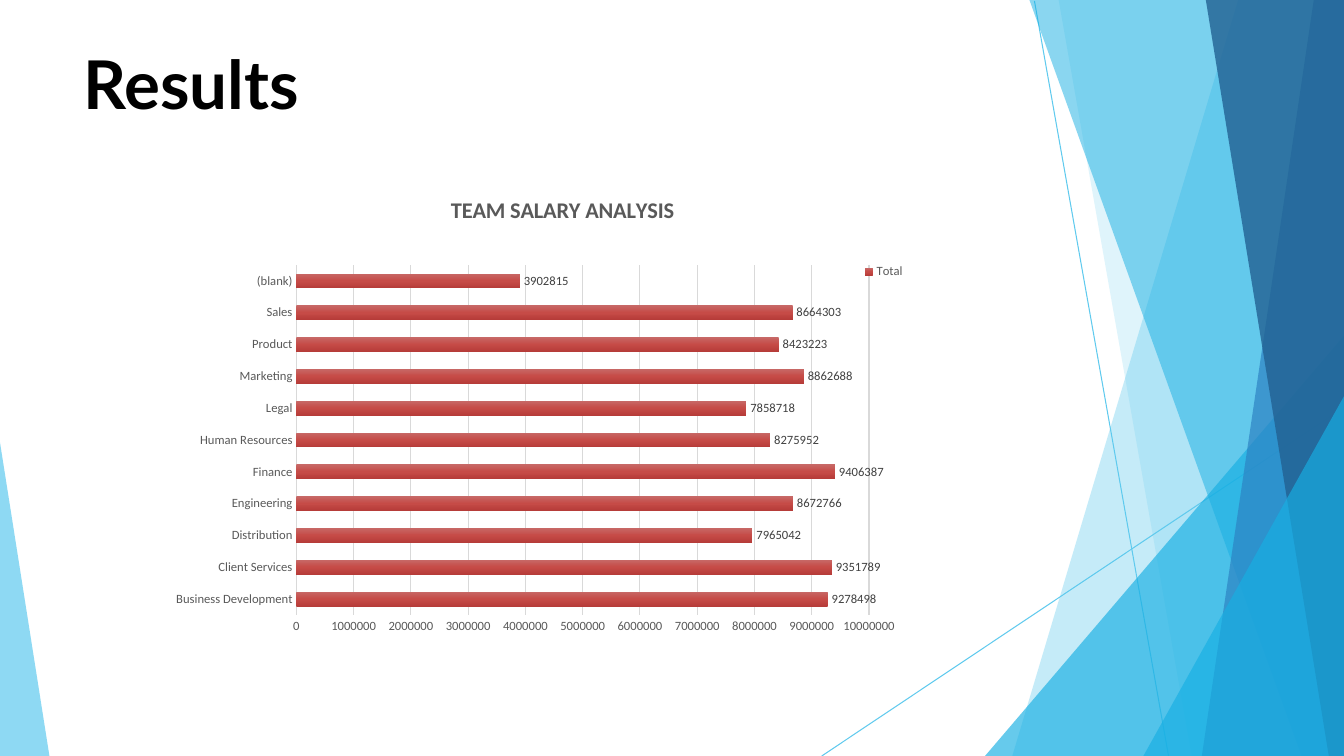
import dataclasses

import lxml.etree
import pptx
import pptx.chart.axis
import pptx.chart.chart
import pptx.chart.data
import pptx.dml.color
import pptx.enum.chart
import pptx.enum.shapes
import pptx.enum.text
import pptx.oxml
import pptx.oxml.ns
import pptx.slide
import pptx.text.text
import pptx.util

PX = 9144
WIDTH, HEIGHT = 1333, 750
COLORS = {
    "sky": "5FCAEE",
    "cyan": "17AFE3",
    "blue": "2D83C3",
    "navy": "226192",
    "black": "000000",
    "label": "404040",
    "text": "595959",
    "grid": "D9D9D9",
    "bar_top": "C76967",
    "bar_middle": "C64B47",
    "bar_bottom": "B63C39",
}


@dataclasses.dataclass(frozen=True)
class Line:
    start: tuple[int, int]
    end: tuple[int, int]


@dataclasses.dataclass(frozen=True)
class Facet:
    points: tuple[tuple[int, int], ...]
    color: str
    opacity: int


LINES = [Line((1026, 1), (1159, HEIGHT)), Line((WIDTH, 404), (815, HEIGHT))]


def right_facet(top_x: int, top_y: int, bottom_x: int, color: str, opacity: int) -> Facet:
    corners = ((WIDTH, top_y), (top_x, top_y), (bottom_x, HEIGHT), (WIDTH, HEIGHT))
    return Facet(tuple(dict.fromkeys(corners)), color, opacity)


FACETS = [
    right_facet(1228, 0, 1004, "sky", 36),
    right_facet(1050, 0, 1182, "sky", 20),
    right_facet(WIDTH, 333, 977, "cyan", 66),
    right_facet(1021, 0, 1291, "cyan", 50),
    right_facet(1303, 0, 1192, "blue", 70),
    right_facet(1196, 0, 1318, "navy", 80),
    right_facet(WIDTH, 393, 1134, "cyan", 66),
    Facet(((0, 439), (0, HEIGHT), (49, HEIGHT)), "sky", 70),
]

SALARIES = {
    "Business Development": 9278498,
    "Client Services": 9351789,
    "Distribution": 7965042,
    "Engineering": 8672766,
    "Finance": 9406387,
    "Human Resources": 8275952,
    "Legal": 7858718,
    "Marketing": 8862688,
    "Product": 8423223,
    "Sales": 8664303,
    "(blank)": 3902815,
}


def px(value: int) -> pptx.util.Emu:
    return pptx.util.Emu(value * PX)


def rgb(name: str) -> pptx.dml.color.RGBColor:
    return pptx.dml.color.RGBColor.from_string(COLORS[name])


def set_font(font: pptx.text.text.Font, size: int, color: str,
             name: str = "Calibri", bold: bool = False) -> None:
    font.name = name
    font.size = pptx.util.Pt(size)
    font.bold = bold
    font.color.rgb = rgb(color)


def add_line(slide: pptx.slide.Slide, line: Line) -> None:
    connector = slide.shapes.add_connector(
        pptx.enum.shapes.MSO_CONNECTOR.STRAIGHT, *map(px, line.start + line.end))
    connector.line.color.rgb = rgb("sky")
    connector.line.width = pptx.util.Pt(0.75)
    lxml.etree.SubElement(connector._element.spPr, pptx.oxml.ns.qn("a:effectLst"))


def add_facet(slide: pptx.slide.Slide, facet: Facet) -> None:
    builder = slide.shapes.build_freeform(*facet.points[0], scale=PX)
    builder.add_line_segments(facet.points[1:], close=True)
    shape = builder.convert_to_shape()
    shape.shadow.inherit = False
    shape.line.fill.background()
    shape.fill.solid()
    shape.fill.fore_color.rgb = rgb(facet.color)
    color = shape._element.spPr.xpath("./a:solidFill/a:srgbClr")[0]
    alpha = lxml.etree.SubElement(color, pptx.oxml.ns.qn("a:alpha"))
    alpha.set("val", str(facet.opacity * 1000))


def add_title(slide: pptx.slide.Slide) -> None:
    box = slide.shapes.add_textbox(px(83), px(42), px(1168), px(162))
    frame = box.text_frame
    frame.word_wrap = True
    frame.vertical_anchor = pptx.enum.text.MSO_ANCHOR.TOP
    frame.margin_left = frame.margin_right = frame.margin_top = frame.margin_bottom = 0
    paragraph = frame.paragraphs[0]
    paragraph.text = "Results"
    set_font(paragraph.font, 48, "black", "Lato", True)


def layout_xml(target: str, **fractions: float) -> lxml.etree._Element:
    inner = '<c:layoutTarget val="inner"/>' if target == "plot" else ""
    modes = '<c:xMode val="edge"/><c:yMode val="edge"/>'
    places = "".join(f'<c:{key} val="{value}"/>' for key, value in fractions.items())
    return pptx.oxml.parse_xml(
        f'<c:layout {pptx.oxml.ns.nsdecls("c")}><c:manualLayout>'
        f"{inner}{modes}{places}</c:manualLayout></c:layout>")


def place_plot(chart: pptx.chart.chart.Chart) -> None:
    plot_area = chart._chartSpace.chart.plotArea
    for layout in plot_area.xpath("./c:layout"):
        plot_area.remove(layout)
    plot_area.insert(0, layout_xml("plot", x=0.17, y=0.19, w=0.71, h=0.75))
    legend = chart.legend._element
    for layout in legend.xpath("./c:layout"):
        legend.remove(layout)
    legend.xpath("./c:legendPos")[0].addnext(layout_xml("legend", x=0.87, y=0.18))


def style_axis(axis: pptx.chart.axis._BaseAxis) -> None:
    axis.major_tick_mark = axis.minor_tick_mark = pptx.enum.chart.XL_TICK_MARK.NONE
    set_font(axis.tick_labels.font, 9, "text")


def fill_bars(chart: pptx.chart.chart.Chart) -> None:
    series = chart.plots[0].series[0]
    series.invert_if_negative = False
    stops = "".join(
        f'<a:gs pos="{index * 50000}"><a:srgbClr val="{COLORS[name]}"/></a:gs>'
        for index, name in enumerate(("bar_top", "bar_middle", "bar_bottom")))
    series.format.line.fill.background()
    series._element.get_or_add_spPr().insert(0, pptx.oxml.parse_xml(
        f'<a:gradFill {pptx.oxml.ns.nsdecls("a")}><a:gsLst>{stops}</a:gsLst>'
        '<a:lin ang="5400000" scaled="0"/></a:gradFill>'))


def add_salary_chart(slide: pptx.slide.Slide) -> None:
    data = pptx.chart.data.CategoryChartData()
    data.categories = list(SALARIES)
    data.add_series("Total", list(SALARIES.values()))
    chart = slide.shapes.add_chart(
        pptx.enum.chart.XL_CHART_TYPE.BAR_CLUSTERED,
        px(158), px(175), px(800), px(463), data).chart
    set_font(chart.font, 10, "black")

    chart.has_title = True
    title = chart.chart_title.text_frame.paragraphs[0]
    title.text = "TEAM SALARY ANALYSIS"
    set_font(title.font, 16, "text", bold=True)

    chart.has_legend = True
    chart.legend.position = pptx.enum.chart.XL_LEGEND_POSITION.RIGHT
    chart.legend.include_in_layout = False
    set_font(chart.legend.font, 9, "text")

    style_axis(chart.category_axis)
    chart.category_axis.format.line.color.rgb = rgb("grid")
    chart.category_axis.format.line.width = pptx.util.Pt(1)
    values = chart.value_axis
    style_axis(values)
    values.minimum_scale, values.maximum_scale, values.major_unit = 0, 10000000, 1000000
    values.format.line.fill.background()
    values.major_gridlines.format.line.color.rgb = rgb("grid")
    values.major_gridlines.format.line.width = pptx.util.Pt(0.75)

    plot = chart.plots[0]
    plot.vary_by_categories = False
    plot.gap_width = 115
    plot.overlap = -20
    plot.has_data_labels = True
    plot.data_labels.show_value = True
    plot.data_labels.position = pptx.enum.chart.XL_LABEL_POSITION.OUTSIDE_END
    set_font(plot.data_labels.font, 9, "label")
    fill_bars(chart)
    place_plot(chart)


def main() -> None:
    presentation = pptx.Presentation()
    presentation.slide_width = px(WIDTH)
    presentation.slide_height = px(HEIGHT)
    slide = presentation.slides.add_slide(presentation.slide_layouts[6])
    for line in LINES:
        add_line(slide, line)
    for facet in FACETS:
        add_facet(slide, facet)
    add_title(slide)
    add_salary_chart(slide)
    presentation.save("out.pptx")


if __name__ == "__main__":
    main()
